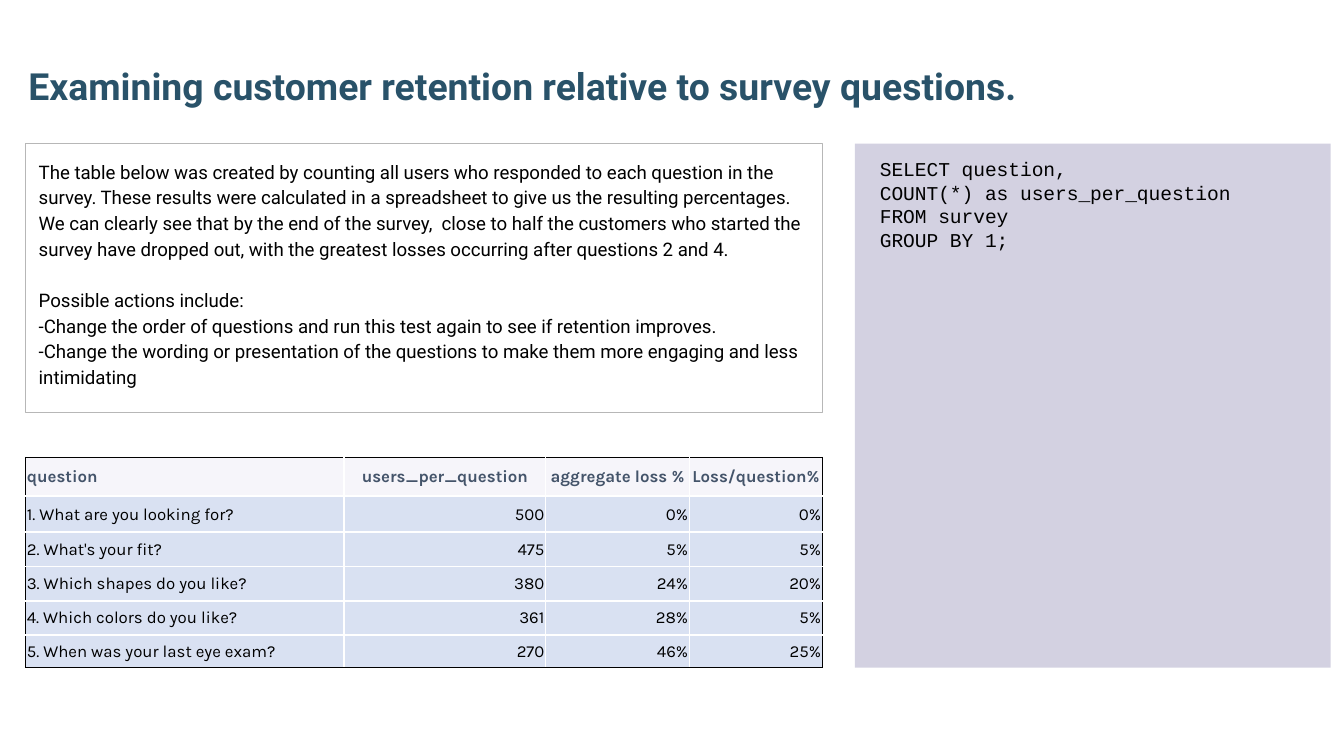
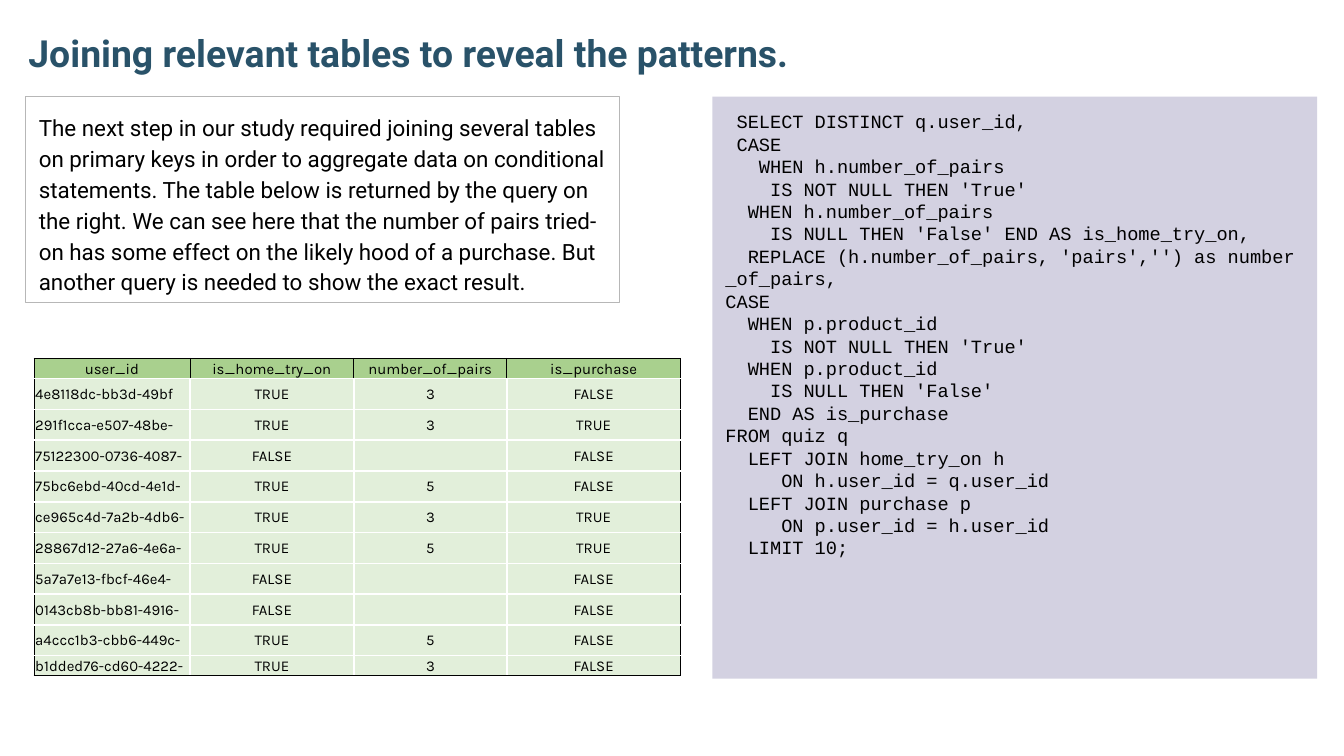
from lxml import etree
from pptx import Presentation
from pptx import util as u
from pptx.dml.color import RGBColor
from pptx.enum import shapes, text
from pptx.oxml import ns

Pt = u.Pt
ALIGN = text.PP_ALIGN
ANCHOR = text.MSO_ANCHOR

COLORS = {
    "title": "295269", "black": "000000", "white": "FFFFFF",
    "code_fill": "D3D1E1", "note_line": "B7B7B7", "slate": "44546A",
    "pale": "F6F5FA", "blue": "D9E1F2", "green": "A9D08E", "mint": "E2EFDA",
}
TITLE_STYLE = {"name": "Roboto", "size": Pt(20), "bold": True, "color": "title"}
NOTE_STYLE = {"name": "Roboto", "bold": False, "color": "black"}
CODE_STYLE = {"name": "Courier New", "bold": False, "color": "black"}
CELL_STYLE = {"name": "Karla", "bold": False, "color": "black"}
HARD_SPACE = chr(160)

RETENTION = {
    "title": "Examining customer retention relative to survey questions.",
    "title_top": -1.4,
    "note": {
        "place": (13.7, 77, 427, 144), "size": 10,
        "blocks": [
            ["The table below was created by counting all users who responded to each "
             "question in the survey. These results were calculated in a spreadsheet to "
             "give us the resulting percentages. We can clearly see that by the end of "
             "the survey,  close to half the customers who started the survey have "
             "dropped out, with the greatest losses occurring after questions 2 and 4."],
            ["Possible actions include:",
             "-Change the order of questions and run this test again to see if retention "
             "improves.",
             "-Change the wording or presentation of the questions to make them more "
             "engaging and less intimidating"],
        ],
    },
    "code": {
        "place": (458, 77, 254.8, 280.8), "size": 10.5,
        "query": """\
 SELECT question,
 COUNT(*) as users_per_question
 FROM survey
 GROUP BY 1;""",
    },
    "table": {
        "corner": (13.7, 245), "size": 9,
        "columns": [170.6, 108, 77, 71.3],
        "heights": [20.8, 19.2, 18.6, 18.3, 18.2, 17.6],
        "header": {"fill": "pale", "rule": "white", "first": ALIGN.LEFT,
                   "font": {"bold": True, "color": "slate"}},
        "body": {"fill": "blue", "others": ALIGN.RIGHT},
        "rows": [
            ("question", "users_per_question", "aggregate loss %", "Loss/question%"),
            ("1. What are you looking for?", "500", "0%", "0%"),
            ("2. What's your fit?", "475", "5%", "5%"),
            ("3. Which shapes do you like?", "380", "24%", "20%"),
            ("4. Which colors do you like?", "361", "28%", "5%"),
            ("5. When was your last eye exam?", "270", "46%", "25%"),
        ],
    },
}

JOINING = {
    "title": "Joining relevant tables to reveal the patterns.",
    "title_top": -18.7,
    "note": {
        "place": (13.7, 51.8, 318.2, 110.2), "size": 12,
        "blocks": [
            ["The next step in our study required joining several tables on primary keys "
             "in order to aggregate data on conditional statements. The table below is "
             "returned by the query on the right. We can see here that the number of "
             "pairs tried-on has some effect on the likely hood of a purchase. But "
             "another query is needed to show the exact result."],
        ],
    },
    "code": {
        "place": (381.6, 51.8, 324, 311.8), "size": 10,
        "query": """\
 SELECT DISTINCT q.user_id,
 CASE
   WHEN h.number_of_pairs
    IS NOT NULL THEN 'True'
  WHEN h.number_of_pairs
    IS NULL THEN 'False' END AS is_home_try_on,
  REPLACE (h.number_of_pairs, 'pairs','') as number_of_pairs,
CASE
  WHEN p.product_id
    IS NOT NULL THEN 'True'
  WHEN p.product_id
    IS NULL THEN 'False'
  END AS is_purchase
FROM quiz q
  LEFT JOIN home_try_on h
     ON h.user_id = q.user_id
  LEFT JOIN purchase p
     ON p.user_id = h.user_id
  LIMIT 10;""",
    },
    "table": {
        "corner": (18.2, 192), "size": 8,
        "columns": [83.6, 87.8, 82, 93],
        "heights": [10.8] + [16.5] * 9 + [10.8],
        "header": {"fill": "green", "rule": "black", "first": ALIGN.CENTER, "font": {}},
        "body": {"fill": "mint", "others": ALIGN.CENTER},
        "rows": [
            ("user_id", "is_home_try_on", "number_of_pairs", "is_purchase"),
            ("4e8118dc-bb3d-49bf", "TRUE", "3", "FALSE"),
            ("291f1cca-e507-48be-", "TRUE", "3", "TRUE"),
            ("75122300-0736-4087-", "FALSE", "", "FALSE"),
            ("75bc6ebd-40cd-4e1d-", "TRUE", "5", "FALSE"),
            ("ce965c4d-7a2b-4db6-", "TRUE", "3", "TRUE"),
            ("28867d12-27a6-4e6a-", "TRUE", "5", "TRUE"),
            ("5a7a7e13-fbcf-46e4-", "FALSE", "", "FALSE"),
            ("0143cb8b-bb81-4916-", "FALSE", "", "FALSE"),
            ("a4ccc1b3-cbb6-449c-", "TRUE", "5", "FALSE"),
            ("b1dded76-cd60-4222-", "TRUE", "3", "FALSE"),
        ],
    },
}


def rgb(name):
    return RGBColor.from_string(COLORS[name])


def set_all(target, values):
    for name, value in values.items():
        setattr(target, name, value)


def write(para, words, style):
    span = para.add_run()
    span.text = words
    set_all(span.font, {k: v for k, v in style.items() if k != "color"})
    span.font.color.rgb = rgb(style["color"])


def set_frame(frame, anchor):
    inset = Pt(7.2)
    set_all(frame, {"word_wrap": True, "auto_size": text.MSO_AUTO_SIZE.NONE,
                    "vertical_anchor": anchor, "margin_left": inset,
                    "margin_right": inset, "margin_top": inset, "margin_bottom": inset})


def add_title(page, words, top):
    title = page.shapes.title
    set_all(title, {"left": Pt(8), "top": Pt(top), "width": Pt(671), "height": Pt(66.2)})
    set_frame(title.text_frame, ANCHOR.BOTTOM)
    para = title.text_frame.paragraphs[0]
    para.alignment = ALIGN.LEFT
    write(para, words, TITLE_STYLE)


def add_panel(page, place, lines, style, spacing=1.0, gaps=()):
    """Add a rectangle of text; gaps holds the lines that follow a gap."""
    box = page.shapes.add_shape(shapes.MSO_SHAPE.RECTANGLE, *map(Pt, place))
    box.shadow.inherit = False
    set_frame(box.text_frame, ANCHOR.TOP)
    for index, line in enumerate(lines):
        para = box.text_frame.paragraphs[0] if index == 0 else box.text_frame.add_paragraph()
        set_all(para, {"alignment": ALIGN.LEFT, "line_spacing": spacing})
        if index in gaps:
            para.space_before = Pt(13.5)
        write(para, line, style)
    return box


def add_code(page, place, size, query):
    lines = [line.replace(" ", HARD_SPACE) for line in query.splitlines()]
    box = add_panel(page, place, lines, CODE_STYLE | {"size": Pt(size)})
    box.fill.solid()
    box.fill.fore_color.rgb = rgb("code_fill")
    box.line.fill.background()


def add_note(page, place, size, blocks):
    lines, gaps = [], []
    for block in blocks:
        if lines:
            gaps.append(len(lines))
        lines += block
    box = add_panel(page, place, lines, NOTE_STYLE | {"size": Pt(size)}, 1.15, gaps)
    box.fill.background()
    box.line.color.rgb = rgb("note_line")
    box.line.width = Pt(0.75)


def set_borders(cell, edges):
    """Draw edges, a dict of side letter to colour name: black is thin, white is wide."""
    props = cell._tc.get_or_add_tcPr()
    for side in "LRTB":
        width = Pt(0.5) if edges[side] == "black" else Pt(1)
        line = etree.SubElement(props, ns.qn(f"a:ln{side}"), w=str(width))
        fill = etree.SubElement(line, ns.qn("a:solidFill"))
        etree.SubElement(fill, ns.qn("a:srgbClr"), val=COLORS[edges[side]])


def add_table(page, corner, size, columns, heights, header, body, rows):
    frame = page.shapes.add_table(len(rows), len(columns), *map(Pt, corner),
                                  Pt(sum(columns)), Pt(sum(heights)))
    table = frame.table
    set_all(table, {"first_row": False, "horz_banding": False})
    for column, width in zip(table.columns, columns):
        column.width = Pt(width)
    for row, height in zip(table.rows, heights):
        row.height = Pt(height)
    last_row, last_col = len(rows) - 1, len(columns) - 1
    for r, values in enumerate(rows):
        rule = "white" if r else header["rule"]
        look = body if r else header
        style = CELL_STYLE | {"size": Pt(size)} | ({} if r else header["font"])
        for c, value in enumerate(values):
            cell = table.cell(r, c)
            set_borders(cell, {
                "L": "black" if c == 0 else rule,
                "R": "black" if c == last_col else rule,
                "T": "black" if r == 0 else "white",
                "B": "black" if r == last_row else "white",
            })
            cell.fill.solid()
            cell.fill.fore_color.rgb = rgb(look["fill"])
            set_all(cell, {"vertical_anchor": ANCHOR.MIDDLE, "margin_left": Pt(0.7),
                           "margin_right": Pt(0.7), "margin_top": Pt(0.7),
                           "margin_bottom": 0})
            para = cell.text_frame.paragraphs[0]
            if c == 0:
                para.alignment = look.get("first", ALIGN.LEFT)
            else:
                para.alignment = look.get("others", ALIGN.CENTER)
            if value:
                write(para, value, style)
            else:
                etree.SubElement(para._p, ns.qn("a:endParaRPr"), sz=str(size * 100))


def main():
    deck = Presentation()
    set_all(deck, {"slide_width": Pt(720), "slide_height": Pt(405)})
    for content in (RETENTION, JOINING):
        page = deck.slides.add_slide(deck.slide_layouts.get_by_name("Title Only"))
        add_title(page, content["title"], content["title_top"])
        add_code(page, **content["code"])
        add_note(page, **content["note"])
        add_table(page, **content["table"])
    deck.save("out.pptx")


if __name__ == "__main__":
    main()
